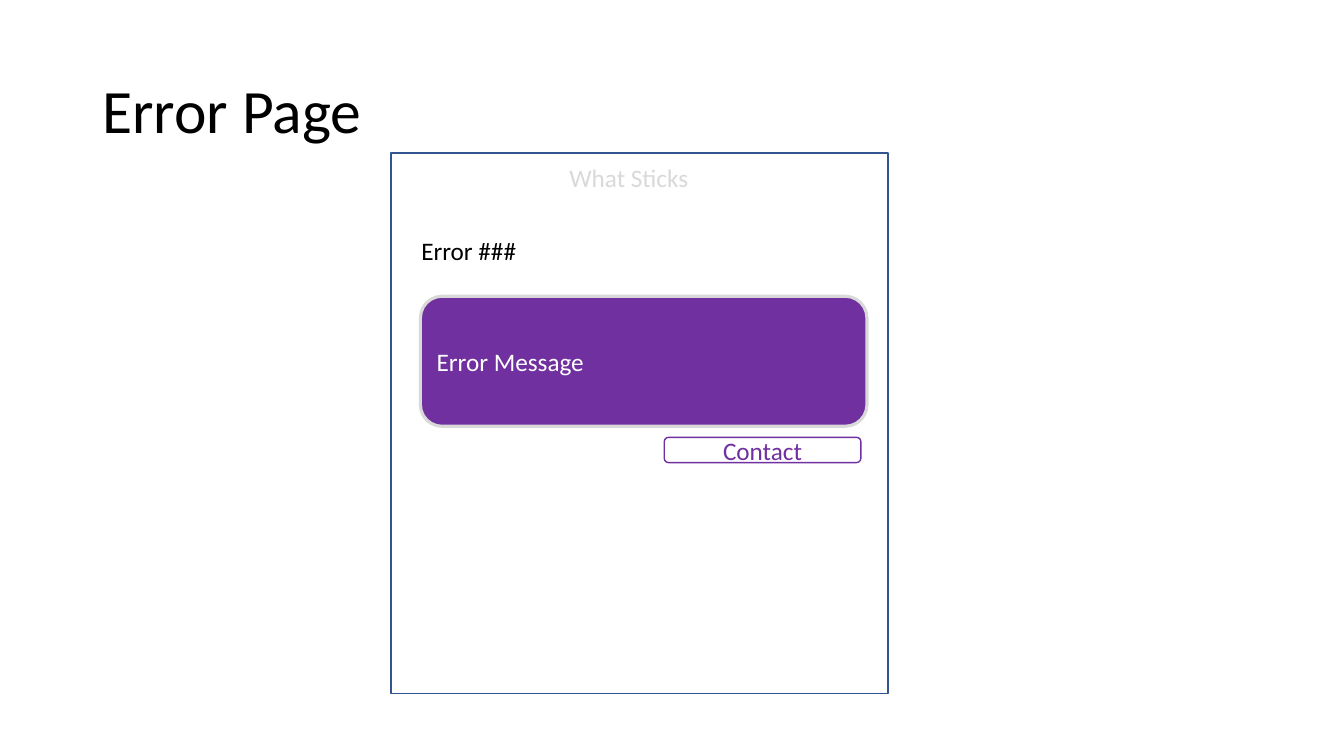
from pptx import Presentation
from pptx.dml.color import RGBColor
from pptx.enum.shapes import MSO_SHAPE
from pptx.enum.text import MSO_ANCHOR, PP_ALIGN
from pptx.util import Pt

PURPLE = "7030A0"
GREY = "D9D9D9"
WHITE = "FFFFFF"
BLACK = "000000"


def color(code):
    return RGBColor.from_string(code)


def write(shape, text, size, ink, align=PP_ALIGN.LEFT, anchor=MSO_ANCHOR.MIDDLE):
    frame = shape.text_frame
    frame.word_wrap = True
    frame.vertical_anchor = anchor
    line = frame.paragraphs[0]
    line.text = text
    line.alignment = align
    line.font.name = "Calibri"
    line.font.size = Pt(size)
    line.font.color.rgb = color(ink)
    return line


def panel(slide, kind, box, edge, width, fill=None):
    shape = slide.shapes.add_shape(kind, *map(Pt, box))
    shape.shadow.inherit = False
    if fill:
        shape.fill.solid()
        shape.fill.fore_color.rgb = color(fill)
    else:
        shape.fill.background()
    shape.line.color.rgb = color(edge)
    shape.line.width = Pt(width)
    return shape


def label(slide, box, text, ink):
    shape = slide.shapes.add_textbox(*map(Pt, box))
    write(shape, text, 18, ink, anchor=MSO_ANCHOR.TOP)


def heading(slide, box, text):
    title = slide.shapes.title
    title.left, title.top, title.width, title.height = map(Pt, box)
    write(title, text, 44, BLACK).line_spacing = 0.9


def screen(slide, box):
    left, top, width, height = box
    panel(slide, MSO_SHAPE.RECTANGLE, box, "325491", 1)
    label(slide, (left + 120.2, top + 2.9, 113.8, 30), "What Sticks", GREY)
    label(slide, (left + 14.4, top + 55.4, 181.4, 29), "Error ###", BLACK)

    alert = panel(slide, MSO_SHAPE.ROUNDED_RECTANGLE,
                  (left + 20.9, top + 102.2, width - 36, 92.9), GREY, 2.25, PURPLE)
    write(alert, "Error Message", 18, WHITE)

    button = panel(slide, MSO_SHAPE.ROUNDED_RECTANGLE,
                   (left + 195.1, top + 203, 140.4, 18), PURPLE, 1, WHITE)
    write(button, "Contact", 18, PURPLE, PP_ALIGN.CENTER)


def main():
    deck = Presentation()
    deck.slide_width, deck.slide_height = Pt(960), Pt(540)
    slide = deck.slides.add_slide(deck.slide_layouts[5])
    heading(slide, (66, 28.75, 828, 104.4), "Error Page")
    screen(slide, (279.4, 109.4, 355, 386))
    deck.save("out.pptx")


if __name__ == "__main__":
    main()
